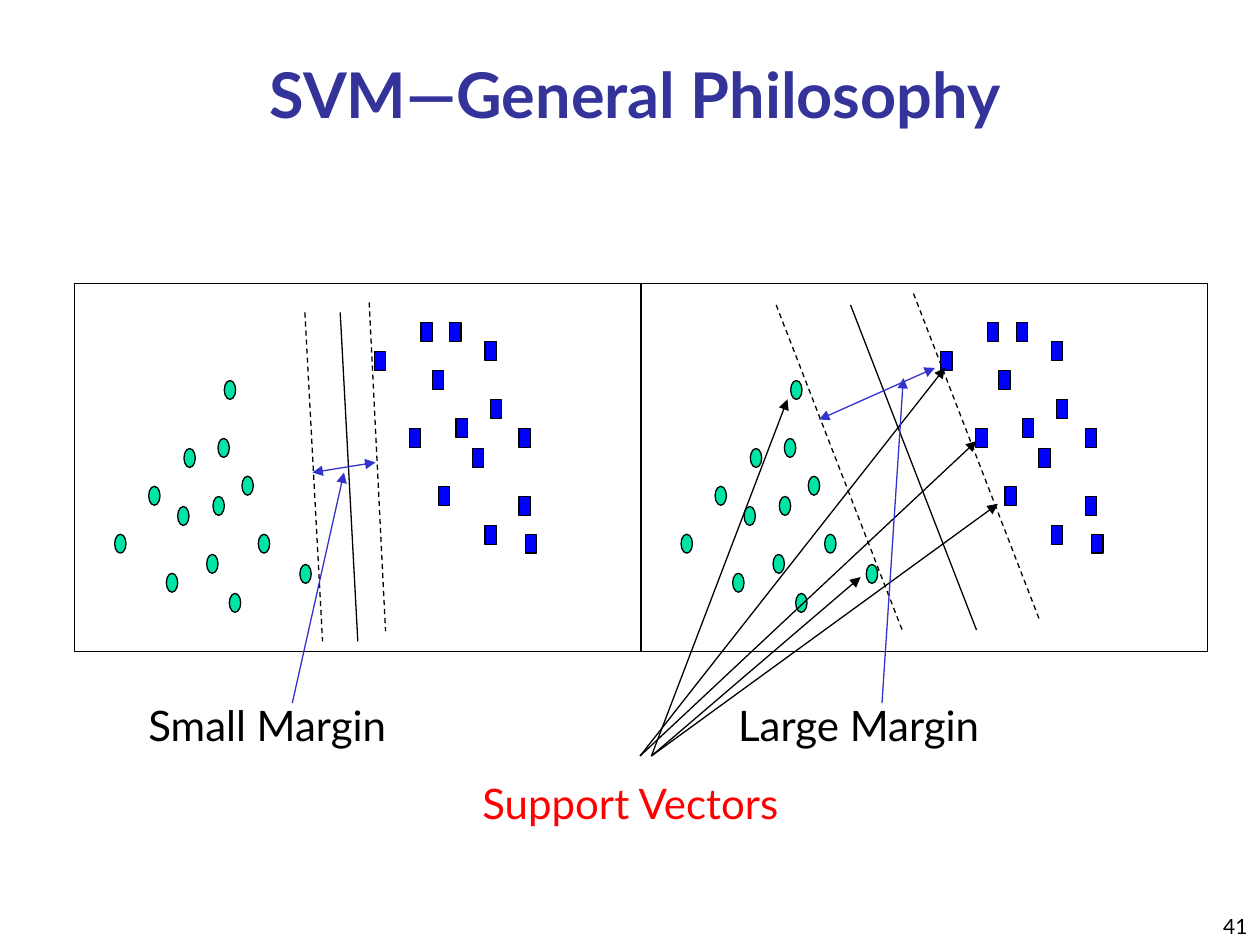
from pptx import Presentation
from pptx.dml.color import RGBColor
from pptx.enum.dml import MSO_LINE
from pptx.enum.shapes import MSO_CONNECTOR, MSO_SHAPE
from pptx.enum.text import MSO_ANCHOR, MSO_AUTO_SIZE, PP_ALIGN
from pptx.oxml.ns import qn
from pptx.util import Inches, Pt
from lxml.etree import SubElement

hue = RGBColor.from_string

deck = Presentation()
deck.slide_width = Inches(10)
deck.slide_height = Inches(7.5)
col = deck.slide_width / 100
row = deck.slide_height / 75
slide = deck.slides.add_slide(deck.slide_layouts[6])


def write(home, text, box, size, tint, align=PP_ALIGN.LEFT, bold=False, wrap=False):
    x, y, w, h = box
    note = home.add_textbox(int(x * col), int(y * row), int(w * col), int(h * row))
    frame = note.text_frame
    frame.text = text
    frame.word_wrap = wrap
    frame.auto_size = MSO_AUTO_SIZE.NONE if wrap else MSO_AUTO_SIZE.SHAPE_TO_FIT_TEXT
    frame.vertical_anchor = MSO_ANCHOR.BOTTOM if wrap else MSO_ANCHOR.TOP
    line = frame.paragraphs[0]
    line.alignment = align
    font = line.runs[0].font
    font.name, font.size, font.bold = "Lato", Pt(size), bold
    font.color.rgb = hue(tint)


def link(home, ends, tint="000000", dash=False, tips=()):
    x1, y1, x2, y2 = ends
    wire = home.add_connector(
        MSO_CONNECTOR.STRAIGHT, int(x1 * col), int(y1 * row), int(x2 * col), int(y2 * row))
    wire.line.color.rgb = hue(tint)
    wire.line.width = Pt(0.75)
    if dash:
        wire.line.dash_style = MSO_LINE.DASH
    props = wire._element.spPr
    for tip in tips:
        SubElement(props.find(qn("a:ln")), qn("a:" + tip), type="triangle")
    SubElement(props, qn("a:effectLst"))


write(slide.shapes, "41", (79.2, 70.8, 20.8, 4.2), 12, "000000", PP_ALIGN.RIGHT, wrap=True)
write(slide.shapes, "SVM—General Philosophy", (3.3, 4.2, 94.2, 6.7), 36, "333399",
      PP_ALIGN.CENTER, True, True)

dots = [(13.2, 45.5), (14.1, 40.2), (9.1, 42.4), (11.8, 38.6), (16.4, 44), (14.6, 35.6),
        (16.9, 39.4), (17.3, 34.8), (19.2, 37.8), (20.5, 42.4), (18.2, 47.1), (23.8, 44.8),
        (17.8, 30.2)]
bricks = [(32.5, 34), (29.7, 27.9), (33.4, 25.6), (34.8, 38.6), (34.3, 29.4), (36.2, 33.2),
          (35.7, 25.6), (38.5, 27.1), (37.5, 35.6), (38.9, 31.7), (38.5, 41.7), (41.2, 34),
          (41.2, 39.4), (41.7, 42.4)]
marks = [(MSO_SHAPE.OVAL, "00E4A8", x, y, 0.9, 1.5) for x, y in dots]
marks += [(MSO_SHAPE.RECTANGLE, "0000FF", x, y, 0.9, 1.5) for x, y in bricks]
marks.append((MSO_SHAPE.RECTANGLE, None, 5.9, 22.5, 45, 29.2))

plots = [
    (0, [(29.3, 24, 30.6, 50.1), (24.2, 24.8, 25.6, 50.9)], (27, 24.8, 28.4, 50.9)),
    (44.95, [(61.6, 24.2, 71.6, 50), (72.5, 23.3, 82.5, 49.2)], (67.5, 24.2, 77.5, 50)),
]
for shift, edges, mid in plots:
    plot = slide.shapes.add_group_shape().shapes
    for kind, tint, x, y, w, h in marks:
        mark = plot.add_shape(
            kind, int((x + shift) * col), int(y * row), int(w * col), int(h * row))
        mark.shadow.inherit = False
        mark.line.color.rgb = hue("000000")
        mark.line.width = Pt(0.75)
        if tint:
            mark.fill.solid()
            mark.fill.fore_color.rgb = hue(tint)
        else:
            mark.fill.background()
    for edge in edges:
        link(plot, edge, dash=True)
    link(plot, mid)

rays = slide.shapes.add_group_shape().shapes
write(rays, "Support Vectors", (37.3, 61.2, 27.1, 5), 24, "FF0000")
for start, x, y in [(50.8, 75, 29.2), (50.8, 77.5, 35), (51.7, 79.2, 40),
                    (51.7, 68.3, 45.8), (51.7, 62.5, 31.7)]:
    link(rays, (start, 60, x, y), tips=["tailEnd"])

gaps = [
    ("Small Margin", (10.8, 55, 22.6, 5), (24.8, 37.5, 29.8, 36.7), (23.2, 55.8, 27.3, 37.5)),
    ("Large Margin", (57.6, 55, 23, 5), (65, 33.3, 74.2, 29.2), (70, 55.8, 71.7, 30)),
]
for text, box, span, lead in gaps:
    gap = slide.shapes.add_group_shape().shapes
    write(gap, text, box, 24, "000000")
    link(gap, span, "3333CC", tips=["headEnd", "tailEnd"])
    link(gap, lead, "3333CC", tips=["tailEnd"])

deck.save("out.pptx")
